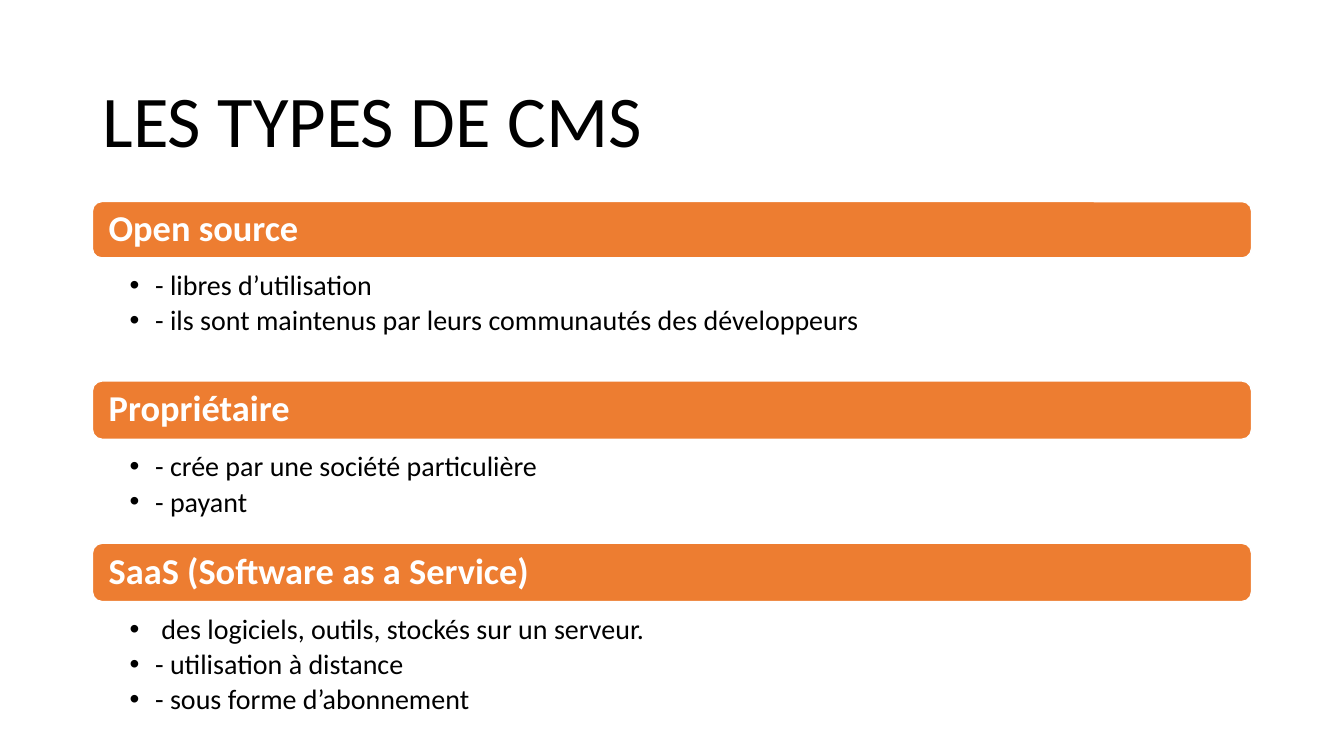
from lxml.etree import SubElement
from pptx import Presentation
from pptx.dml.color import RGBColor
from pptx.enum.shapes import MSO_SHAPE as Shape
from pptx.enum.text import MSO_ANCHOR as Anchor, MSO_AUTO_SIZE as AutoSize, PP_ALIGN as Align
from pptx.oxml.ns import qn
from pptx.util import Cm, Pt

FONT = "Calibri"
ORANGE, WHITE, BLACK = "ED7D31", "FFFFFF", "000000"
LEFT, WIDTH = 2.33, 29.21
LIST_GAP, LIST_HEIGHT = 0.26, 2.95

# Heading, bar top and bar height in cm, points
CMS_TYPES = [
    ("Open source", 5.08, 1.42, [
        "- libres d’utilisation",
        "- ils sont maintenus par leurs communautés des développeurs",
    ]),
    ("Propriétaire", 9.6, 1.47, [
        "- crée par une société particulière",
        "- payant",
    ]),
    ("SaaS (Software as a Service)", 13.69, 1.47, [
        " des logiciels, outils, stockés sur un serveur.",
        "- utilisation à distance",
        "- sous forme d’abonnement",
    ]),
]


def rgb(hex_color):
    return RGBColor.from_string(hex_color)


def format_paragraph(paragraph, text, size, color, bold=False):
    paragraph.text = text
    paragraph.alignment = Align.LEFT
    paragraph.line_spacing = 0.9
    font = paragraph.font
    font.name, font.size, font.bold = FONT, Pt(size), bold
    font.color.rgb = rgb(color)


def set_margins(frame, left, top, right, bottom):
    frame.margin_left, frame.margin_top = Cm(left), Cm(top)
    frame.margin_right, frame.margin_bottom = Cm(right), Cm(bottom)


def add_bullet(paragraph):
    properties = paragraph._p.get_or_add_pPr()
    properties.set("marL", str(Cm(0.64)))
    properties.set("indent", str(Cm(-0.64)))
    SubElement(properties, qn("a:buFont"), typeface="Arial")
    SubElement(properties, qn("a:buChar"), char="•")


def place_title(slide, text, left, top, width, height):
    title = slide.shapes.title
    title.left, title.top, title.width, title.height = map(Cm, (left, top, width, height))
    frame = title.text_frame
    frame.auto_size = AutoSize.NONE
    frame.vertical_anchor = Anchor.MIDDLE
    format_paragraph(frame.paragraphs[0], text, 52, BLACK)


def add_heading_bar(slide, heading, left, top, width, height):
    bar = slide.shapes.add_shape(Shape.ROUNDED_RECTANGLE, *map(Cm, (left, top, width, height)))
    bar.shadow.inherit = False
    bar.fill.solid()
    bar.fill.fore_color.rgb = rgb(ORANGE)
    bar.line.color.rgb = rgb(WHITE)
    bar.line.width = Pt(1)
    frame = bar.text_frame
    frame.vertical_anchor = Anchor.MIDDLE
    set_margins(frame, 0.34, 0, 0.34, 0)
    format_paragraph(frame.paragraphs[0], heading, 26, WHITE, bold=True)


def add_point_list(slide, points, left, top, width, height):
    frame = slide.shapes.add_textbox(*map(Cm, (left, top, width, height))).text_frame
    frame.word_wrap = True
    set_margins(frame, 0.94, 0.08, 0.41, 0.08)
    for index, point in enumerate(points):
        paragraph = frame.add_paragraph() if index else frame.paragraphs[0]
        format_paragraph(paragraph, point, 20, BLACK)
        paragraph.level = 1
        paragraph.space_after = Pt(3.5)
        add_bullet(paragraph)


def add_cms_type(slide, heading, points, left, top, width, bar_height):
    add_heading_bar(slide, heading, left, top, width, bar_height)
    list_top = top + bar_height + LIST_GAP
    add_point_list(slide, points, left, list_top, width, LIST_HEIGHT)


def main():
    deck = Presentation()
    deck.slide_width, deck.slide_height = Cm(33.87), Cm(19.05)
    slide = deck.slides.add_slide(deck.slide_layouts.get_by_name("Title Only"))
    place_title(slide, "LES TYPES DE CMS", LEFT, 1.55, WIDTH, 3.15)
    for heading, top, bar_height, points in CMS_TYPES:
        add_cms_type(slide, heading, points, LEFT, top, WIDTH, bar_height)
    deck.save("out.pptx")


if __name__ == "__main__":
    main()
